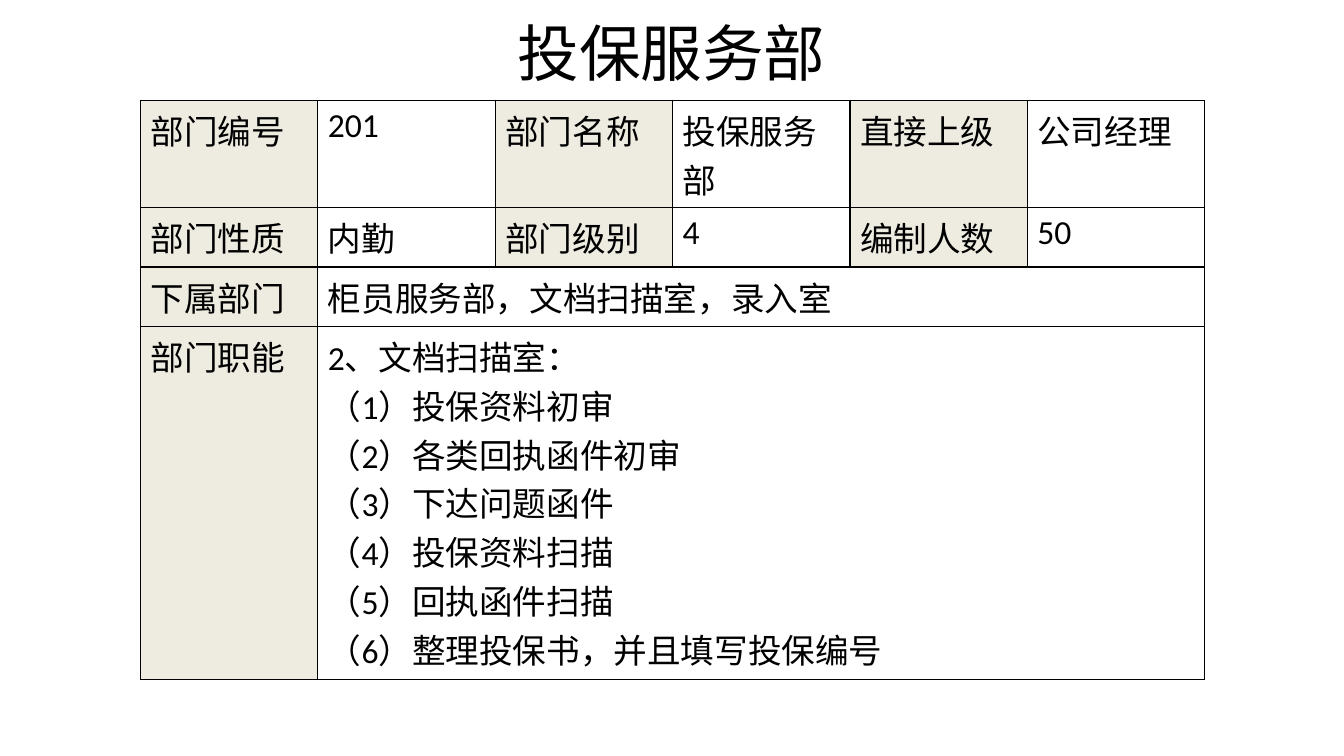
from lxml import etree
from pptx import Presentation
from pptx import util as u
from pptx.dml.color import RGBColor
from pptx.enum import text
from pptx.oxml.ns import qn


def color(hex_string):
    return RGBColor.from_string(hex_string)


def add_borders(cell):
    properties = cell._tc.get_or_add_tcPr()
    for side in ("lnL", "lnR", "lnT", "lnB"):
        line = etree.SubElement(properties, qn(f"a:{side}"), w=str(u.Pt(1)))
        fill = etree.SubElement(line, qn("a:solidFill"))
        etree.SubElement(fill, qn("a:srgbClr"), val="000000")


deck = Presentation()
deck.slide_width, deck.slide_height = u.Cm(33.87), u.Cm(19.05)
slide = deck.slides.add_slide(deck.slide_layouts[6])

heading = slide.shapes.add_textbox(u.Cm(1.69), u.Cm(-0.28), u.Cm(30.48), u.Cm(3.18)).text_frame
heading.word_wrap = True
heading.vertical_anchor = text.MSO_ANCHOR.MIDDLE
heading.text = "投保服务部"
heading.paragraphs[0].alignment = text.PP_ALIGN.CENTER
heading_run = heading.paragraphs[0].runs[0]
heading_run.font.size = u.Pt(44)
heading_run.font.name = "Noto Sans CJK SC"
heading_run.font.color.rgb = color("000000")
etree.SubElement(heading_run.font._element, qn("a:ea"), typeface="Noto Sans CJK SC")

duties = [
    "投保资料初审",
    "各类回执函件初审",
    "下达问题函件",
    "投保资料扫描",
    "回执函件扫描",
    "整理投保书，并且填写投保编号",
]
duty_lines = ["2、文档扫描室："] + [f"（{number}）{duty}" for number, duty in enumerate(duties, 1)]
department = [
    ["部门编号", "201", "部门名称", "投保服务部", "直接上级", "公司经理"],
    ["部门性质", "内勤", "部门级别", "4", "编制人数", "50"],
    ["下属部门", "柜员服务部，文档扫描室，录入室"],
    ["部门职能", "\n".join(duty_lines)],
]
row_heights = [2.7, 1.5, 1.5, 8.9]
column_count = 6
column_width = 4.47

profile = slide.shapes.add_table(
    len(department), column_count, u.Cm(3.54), u.Cm(2.53),
    u.Cm(column_count * column_width), u.Cm(sum(row_heights)),
).table
profile.first_row = False
profile.horz_banding = False
for column in profile.columns:
    column.width = u.Cm(column_width)

for row, (entries, height) in enumerate(zip(department, row_heights)):
    profile.rows[row].height = u.Cm(height)
    if len(entries) == 2:
        profile.cell(row, 1).merge(profile.cell(row, column_count - 1))
    for column in range(column_count):
        cell = profile.cell(row, column)
        add_borders(cell)
        is_label = column % 2 == 0 and not cell.is_spanned
        cell.fill.solid()
        cell.fill.fore_color.rgb = color("EEECE1" if is_label else "FFFFFF")
        if column < len(entries):
            cell.text_frame.text = entries[column]
        for paragraph in cell.text_frame.paragraphs:
            for run in paragraph.runs:
                run.font.size = u.Pt(24)
                run.font.name = "Calibri"
                run.font.color.rgb = color("000000")

deck.save("out.pptx")
